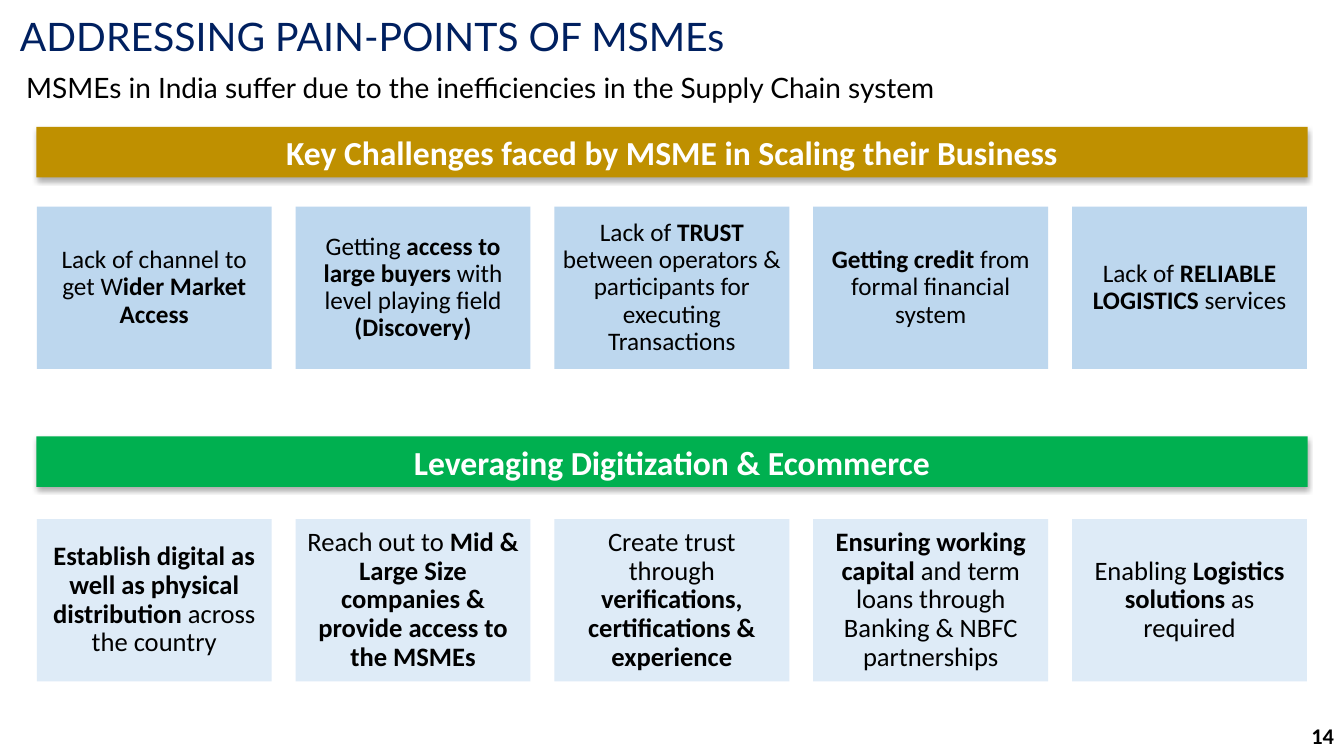
from lxml import etree
from pptx import Presentation
from pptx.dml.color import RGBColor
from pptx.enum.shapes import MSO_SHAPE as Preset
from pptx.enum.text import MSO_ANCHOR as Anchor, PP_ALIGN as Align
from pptx.util import Inches, Pt

SHADOW = (
    '<a:effectLst xmlns:a="http://schemas.openxmlformats.org/drawingml/2006/main">'
    '<a:outerShdw blurRad="44450" dist="27940" dir="5400000" algn="ctr" rotWithShape="0">'
    '<a:srgbClr val="000000"><a:alpha val="32000"/></a:srgbClr>'
    '</a:outerShdw></a:effectLst>'
)


def add_text(page, text, left, top, width, height, size, font="Calibri", color="000000",
             fill=None, align=Align.CENTER, spacing=None, inset=None):
    """Add a text box, or a rectangle if filled; ** switches bold on and off."""
    place = [Inches(length) for length in (left, top, width, height)]
    if fill:
        box = page.shapes.add_shape(Preset.RECTANGLE, *place)
        box.shadow.inherit = False
        box.fill.solid()
        box.fill.fore_color.rgb = RGBColor.from_string(fill)
        box.line.fill.background()
    else:
        box = page.shapes.add_textbox(*place)
    frame = box.text_frame
    frame.word_wrap = True
    frame.vertical_anchor = Anchor.MIDDLE
    if inset is not None:
        frame.margin_left = frame.margin_right = Inches(inset)
        frame.margin_top = frame.margin_bottom = Inches(inset)
    para = frame.paragraphs[0]
    para.alignment = align
    if spacing:
        para.line_spacing = spacing
    for index, part in enumerate(text.split("**")):
        if part:
            span = para.add_run()
            span.text = part
            span.font.name = font
            span.font.size = Pt(size)
            span.font.bold = index % 2 == 1
            span.font.color.rgb = RGBColor.from_string(color)
    return box


deck = Presentation()
deck.slide_width = Inches(13.33)
deck.slide_height = Inches(7.5)
page = deck.slides.add_slide(deck.slide_layouts[6])

# Title and subtitle
add_text(page, "ADDRESSING PAIN-POINTS OF MSMEs", 0.1, 0.07, 13.2, 0.63, 28,
         font="Lato", color="002060", align=Align.LEFT, spacing=0.9)
add_text(page, "MSMEs in India suffer due to the inefficiencies in the Supply Chain system",
         0.16, 0.57, 12.09, 0.63, 20, font="Lato", align=Align.LEFT, spacing=0.9)

# Sections: banner text, banner top, banner fill, card top, card fill, size, inset, cards
sections = [
    ("Key Challenges faced by MSME in Scaling their Business",
     1.26, "BF9000", 2.05, "BDD7EE", 18, 0.07, [
         "Lack of channel to get W**ider Market Access**",
         "Getting **access to large buyers **with level playing field **(Discovery)**",
         "Lack of **TRUST** between operators & participants for executing Transactions",
         "**Getting credit **from formal financial system",
         "Lack of **RELIABLE LOGISTICS** services",
     ]),
    ("Leveraging Digitization & Ecommerce",
     4.33, "00B050", 5.15, "DEEBF7", 19, 0.08, [
         "**Establish digital as well as physical distribution **across the country",
         "Reach out to **Mid & Large Size companies & provide access to the MSMEs**",
         "Create trust through **verifications, certifications & experience**",
         "**Ensuring working capital **and term loans through Banking & NBFC partnerships",
         "Enabling **Logistics solutions **as required",
     ]),
]
LEFT, CARD_WIDTH, CARD_STEP = 0.365, 2.33, 2.567

for heading, banner_top, banner_fill, card_top, card_fill, size, inset, cards in sections:
    banner = add_text(page, f"**{heading}**", 0.36, banner_top, 12.61, 0.5, 24,
                      color="FFFFFF", fill=banner_fill)
    # Swap the empty effect list for a soft shadow below the banner
    properties = banner.fill._xPr
    properties.replace(properties.effectLst, etree.fromstring(SHADOW))
    for column, text in enumerate(cards):
        add_text(page, text, LEFT + column * CARD_STEP, card_top, CARD_WIDTH, 1.61, size,
                 fill=card_fill, spacing=0.9, inset=inset)

# Page number
add_text(page, "**14**", 10.33, 7.1, 3, 0.4, 16, align=Align.RIGHT)

deck.save("out.pptx")
